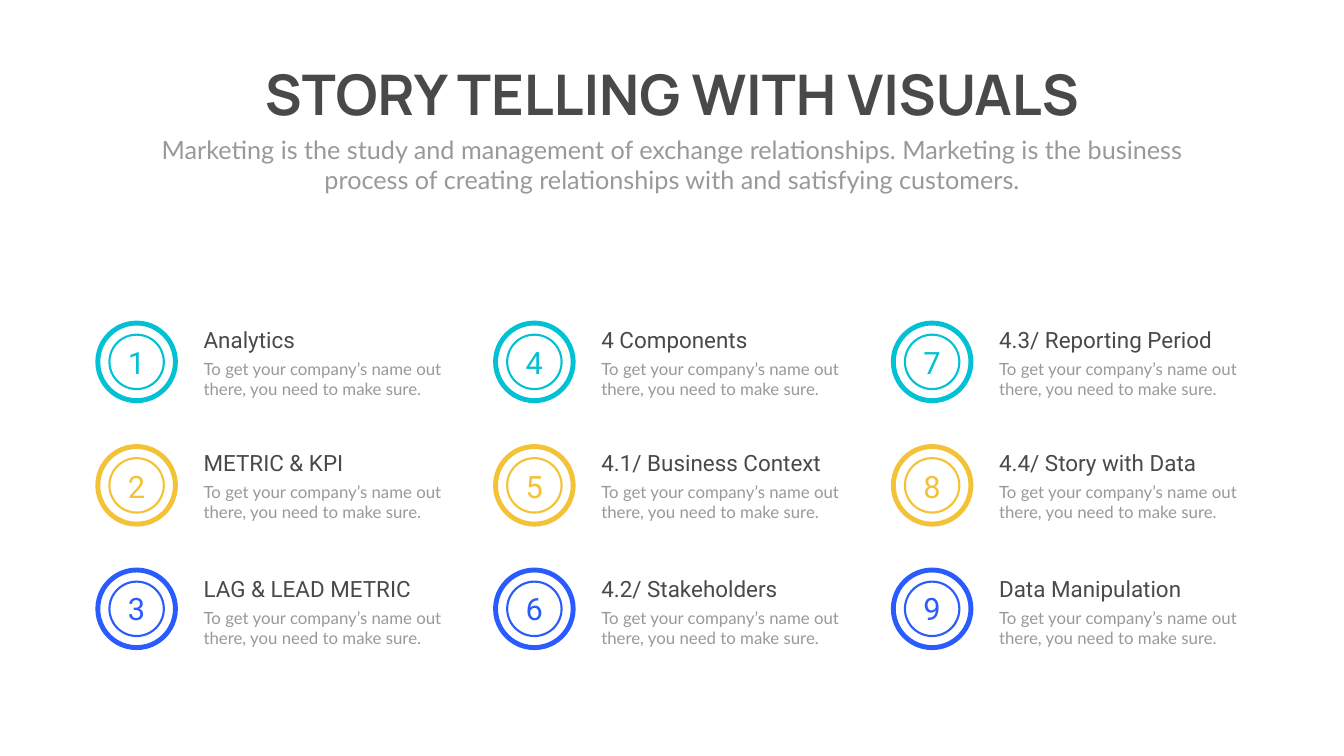
from pptx import Presentation
from pptx.dml.color import RGBColor
from pptx.enum.shapes import MSO_SHAPE as Shape
from pptx.enum.text import MSO_ANCHOR as Anchor, MSO_AUTO_SIZE as AutoSize, PP_ALIGN as Align
from pptx.util import Inches, Pt

WIDTH, HEIGHT = 26.66, 15
LEFT, TOP = 1.94, 6.41
COLUMN, ROW = 7.89, 2.45
RING, INNER_RING = 1.54, 1.08
COLORS = {
    "dark": "494949",
    "grey": "999999",
    "teal": "01C1D4",
    "yellow": "F3C236",
    "blue": "2A5BFE",
}
ROW_COLORS = ["teal", "yellow", "blue"]
NUMBER_OFFSETS = [0.36, 0.37, 0.35]
TEXT_OFFSETS = [0.01, 0.01, 0.06]
TOPICS = [
    ["Analytics", "METRIC & KPI", "LAG & LEAD METRIC"],
    ["4 Components", "4.1/ Business Context", "4.2/ Stakeholders"],
    ["4.3/ Reporting Period", "4.4/ Story with Data", "Data Manipulation"],
]
TITLE = "STORY TELLING WITH VISUALS"
SUBTITLE = (
    "Marketing is the study and management of exchange relationships. "
    "Marketing is the business process of creating relationships with "
    "and satisfying customers."
)
DESCRIPTION = "To get your company’s name out there, you need to make sure."


class SlideBuilder:
    def __init__(self, slide):
        self.slide = slide

    def color(self, name):
        return RGBColor.from_string(COLORS[name])

    def set_text(self, shape, text, font, size, color, align, bold=False):
        frame = shape.text_frame
        frame.text = text
        frame.word_wrap = True
        frame.auto_size = AutoSize.NONE
        paragraph = frame.paragraphs[0]
        paragraph.alignment = align
        paragraph.font.name = font
        paragraph.font.size = Pt(size)
        paragraph.font.bold = bold
        paragraph.font.color.rgb = self.color(color)

    def title(self, text, left, top, width, height):
        shape = self.slide.shapes.title
        shape.left, shape.top = Inches(left), Inches(top)
        shape.width, shape.height = Inches(width), Inches(height)
        self.set_text(shape, text, "Manrope", 80, "dark", Align.CENTER, bold=True)
        shape.text_frame.word_wrap = False
        shape.text_frame.vertical_anchor = Anchor.MIDDLE

    def text(self, text, left, top, width, height, font, size, color, align=Align.LEFT):
        shape = self.slide.shapes.add_textbox(
            Inches(left), Inches(top), Inches(width), Inches(height)
        )
        self.set_text(shape, text, font, size, color, align)

    def ring(self, left, top, size, color, line_width):
        shape = self.slide.shapes.add_shape(
            Shape.OVAL, Inches(left), Inches(top), Inches(size), Inches(size)
        )
        shape.shadow.inherit = False
        shape.fill.background()
        shape.line.color.rgb = self.color(color)
        shape.line.width = Pt(line_width)

    def topic(self, column, row, heading):
        left, top = LEFT + column * COLUMN, TOP + row * ROW
        color = ROW_COLORS[row]
        number = str(column * len(ROW_COLORS) + row + 1)
        inset = (RING - INNER_RING) / 2
        text_left, text_top = left + 2, top + TEXT_OFFSETS[row]

        self.ring(left, top, RING, color, 7)
        self.ring(left + inset, top + inset, INNER_RING, color, 3)
        self.text(number, left + 0.35, top + NUMBER_OFFSETS[row], 0.84, 0.84,
                  "Roboto", 44, color, Align.CENTER)
        self.text(heading, text_left, text_top, 4.99, 0.64, "Roboto", 32, "dark")
        self.text(DESCRIPTION, text_left, text_top + 0.64, 4.94, 0.91, "Lato", 24, "grey")


def main():
    presentation = Presentation()
    presentation.slide_width = Inches(WIDTH)
    presentation.slide_height = Inches(HEIGHT)
    builder = SlideBuilder(presentation.slides.add_slide(presentation.slide_layouts[5]))

    builder.title(TITLE, 4.72, 1.12, 17.23, 1.45)
    builder.text(SUBTITLE, 2.92, 2.61, 20.82, 1.31, "Lato", 36, "grey", Align.CENTER)
    for column, headings in enumerate(TOPICS):
        for row, heading in enumerate(headings):
            builder.topic(column, row, heading)

    presentation.save("out.pptx")


if __name__ == "__main__":
    main()
